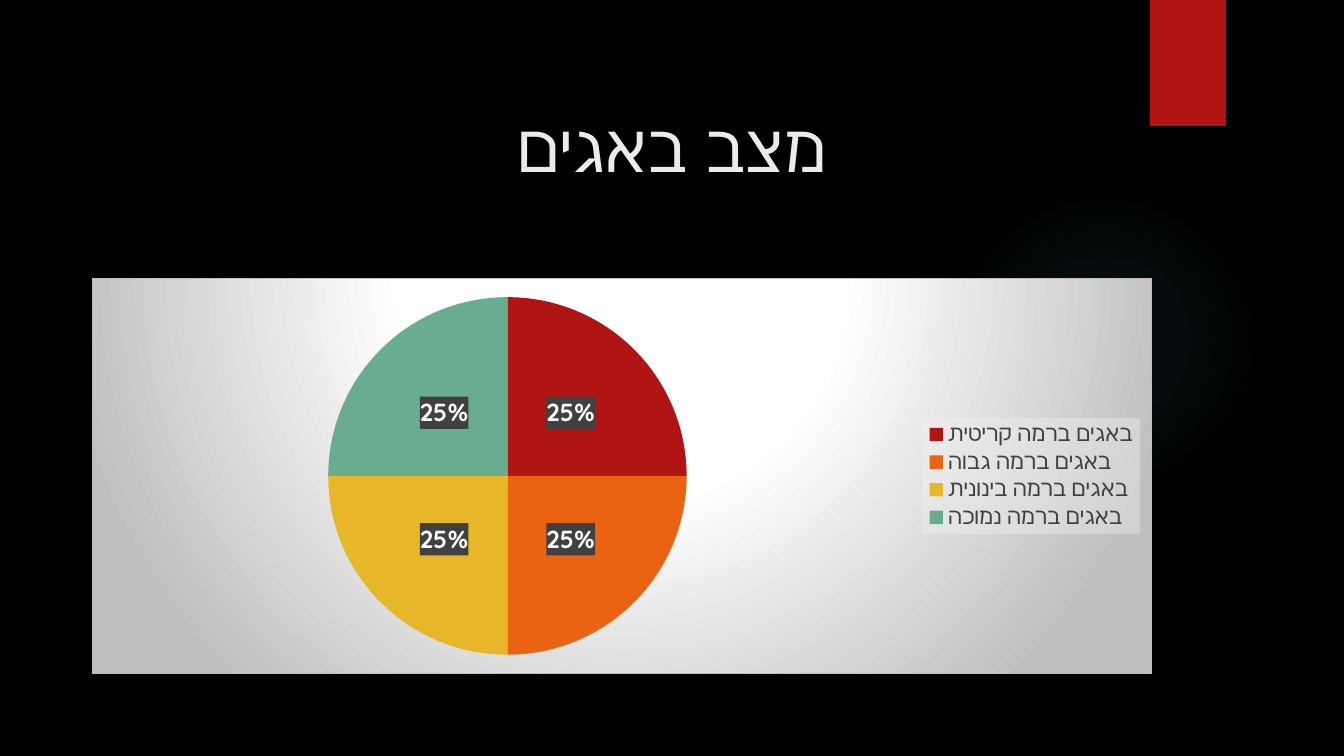
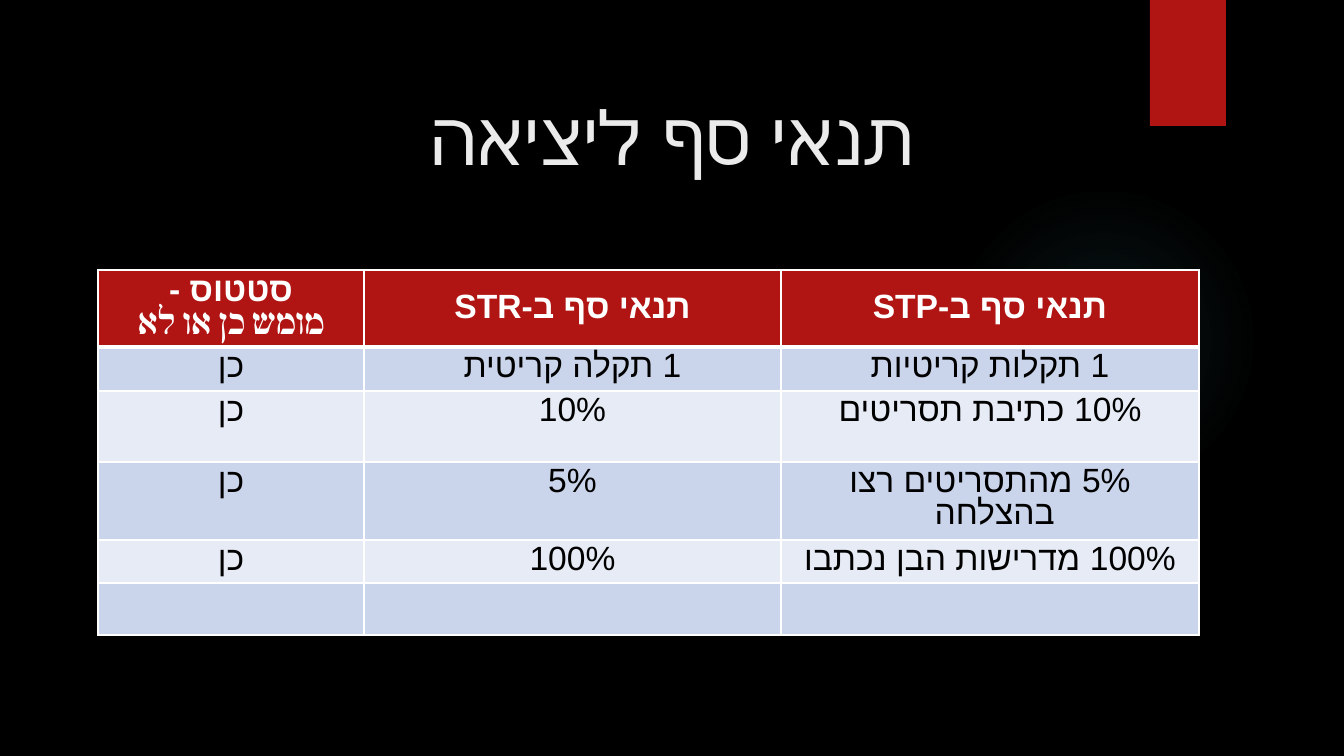
import pptx
import pptx.chart.data
import pptx.dml.color
import pptx.enum.chart
import pptx.enum.shapes
import pptx.enum.text
import pptx.oxml
import pptx.oxml.ns
import pptx.util
from dataclasses import dataclass

# Content
BUGS_TITLE = "מצב באגים"
BUGS_BY_SEVERITY = {
    "באגים ברמה קריטית": 25,
    "באגים ברמה גבוה": 25,
    "באגים ברמה בינונית": 25,
    "באגים ברמה נמוכה": 25,
}
EXIT_TITLE = "תנאי סף ליציאה"
EXIT_HEADER = ["סטטוס -\nמומש כן או לא", "תנאי סף ב-STR", "תנאי סף ב-STP"]
EXIT_ROWS = [
    ["כן", "1 תקלה קריטית", "1 תקלות קריטיות"],
    ["כן", "10%", "10% כתיבת תסריטים"],
    ["כן", "5%", "5% מהתסריטים רצו בהצלחה "],
    ["כן", "100%", "100% מדרישות הבן נכתבו"],
    ["", "", ""],
]


@dataclass(frozen=True)
class Theme:
    background: str = "000000"
    title: str = "EBEBEB"
    accent: str = "B01513"
    glow: str = "50B9C1"
    white: str = "FFFFFF"
    black: str = "000000"
    panel_edge: str = "BFBFBF"
    legend_text: str = "404040"
    legend_fill: str = "F2F2F2"
    slices: tuple = ("B01513", "EA6312", "E6B729", "6AAC90")
    bands: tuple = ("CAD4EA", "E6EBF5")
    display_font: str = "Quicksand"
    table_font: str = "Arial"
    header_font: str = "Cambria"
    chart_size: float = 10
    legend_size: float = 12
    label_size: float = 13.3
    table_size: float = 18


THEME = Theme()

# Layout in px
EMU_PER_PX = 914400 / 134.4
SLIDE_SIZE = (1344, 756)
GLOW_BOX = (949, 185, 310, 310)
TAG_BOX = (1150, 0, 76, 126)
BUGS_TITLE_BOX = (8, 99, 1328, 87)
EXIT_TITLE_BOX = (67, 102, 1210, 78)
CHART_BOX = (92, 278, 1060, 396)
TABLE_ORIGIN = (98, 270)
COLUMN_WIDTHS = (266, 417, 418)
ROW_HEIGHTS = (77, 44, 71, 78, 43, 52)
NAMESPACES = pptx.oxml.ns.nsdecls("a", "c")


def px(length):
    return pptx.util.Emu(round(length * EMU_PER_PX))


def px_box(box):
    return [px(length) for length in box]


def rgb(color):
    return pptx.dml.color.RGBColor.from_string(color)


# XML for what the public methods do not reach
def element(xml):
    tag, rest = xml[:xml.index(" ")], xml[xml.index(" "):]
    return pptx.oxml.parse_xml(f"{tag} {NAMESPACES}{rest}")


def color_xml(color, alpha=100):
    return f'<a:srgbClr val="{color}"><a:alpha val="{alpha * 1000}"/></a:srgbClr>'


def solid_xml(color, alpha=100):
    return f"<a:solidFill >{color_xml(color, alpha)}</a:solidFill>"


def circle_gradient_xml(stops, top, bottom):
    stops_xml = "".join(
        f'<a:gs pos="{position * 1000}">{color_xml(color, alpha)}</a:gs>'
        for position, color, alpha in stops)
    return (f'<a:gradFill rotWithShape="1"><a:gsLst>{stops_xml}</a:gsLst>'
            f'<a:path path="circle"><a:fillToRect l="50000" t="{top * 1000}" '
            f'r="50000" b="{bottom * 1000}"/></a:path></a:gradFill>')


def fill_chart_part(chart, text_properties, fill, line=""):
    anchor = chart.element.xpath(text_properties)[0]
    anchor.addprevious(element(f"<c:spPr >{fill}{line}</c:spPr>"))


def set_border(cell, sides):
    properties = cell._tc.get_or_add_tcPr()
    for index, side in enumerate("LRTB"):
        width = pptx.util.Pt(sides.get(side, 1))
        properties.insert(index, element(
            f'<a:ln{side} w="{width}">{solid_xml(THEME.white)}</a:ln{side}>'))


def write_text(frame, text, fonts, size, color, bold=False, spacing=None):
    """Write centred right-to-left paragraphs; fonts cycle over the lines."""
    frame.word_wrap = True
    frame.text = text
    for index, paragraph in enumerate(frame.paragraphs):
        paragraph.alignment = pptx.enum.text.PP_ALIGN.CENTER
        paragraph.line_spacing = spacing
        paragraph._p.get_or_add_pPr().set("rtl", "1")
        for run in paragraph.runs:
            font_name = fonts[index % len(fonts)]
            run.font.name = font_name
            run.font.size = pptx.util.Pt(size)
            run.font.bold = bold
            run.font.color.rgb = rgb(color)
            run.font._element.append(element(f'<a:cs typeface="{font_name}"/>'))


# Shared slide parts
def add_plain_shape(slide, kind, box, color):
    shape = slide.shapes.add_shape(kind, *px_box(box))
    shape.shadow.inherit = False
    shape.fill.solid()
    shape.fill.fore_color.rgb = rgb(color)
    shape.line.fill.background()
    return shape


def add_slide(presentation, title, box, size):
    slide = presentation.slides.add_slide(presentation.slide_layouts[5])
    kinds = pptx.enum.shapes.MSO_SHAPE

    glow = add_plain_shape(slide, kinds.OVAL, GLOW_BOX, THEME.glow)
    solid = glow._element.spPr.find(pptx.oxml.ns.qn("a:solidFill"))
    stops = [(0, THEME.glow, 7), (36, THEME.glow, 6), (69, THEME.glow, 0)]
    solid.getparent().replace(solid, element(circle_gradient_xml(stops, 50, 50)))

    tag = add_plain_shape(slide, kinds.RECTANGLE, TAG_BOX, THEME.accent)
    effects = tag._element.spPr.find(pptx.oxml.ns.qn("a:effectLst"))
    effects.append(element(
        f'<a:outerShdw blurRad="{pptx.util.Pt(3)}" dist="{pptx.util.Pt(2)}" '
        f'dir="5400000">{color_xml(THEME.black, 45)}</a:outerShdw>'))

    heading = slide.shapes.title
    heading.left, heading.top, heading.width, heading.height = px_box(box)
    frame = heading.text_frame
    frame.auto_size = pptx.enum.text.MSO_AUTO_SIZE.NONE
    frame.vertical_anchor = pptx.enum.text.MSO_ANCHOR.BOTTOM
    frame.margin_left = frame.margin_right = frame.margin_bottom = 0
    frame.margin_top = px(7)
    write_text(frame, title, [THEME.display_font], size, THEME.title)
    return slide


def set_chart_font(font, size, color, bold=False):
    font.name = THEME.display_font
    font.size = pptx.util.Pt(size)
    font.color.rgb = rgb(color)
    font.bold = bold


def add_bug_chart(slide):
    chart_data = pptx.chart.data.CategoryChartData()
    chart_data.categories = list(BUGS_BY_SEVERITY)
    chart_data.add_series("Series 1", list(BUGS_BY_SEVERITY.values()))
    chart = slide.shapes.add_chart(
        pptx.enum.chart.XL_CHART_TYPE.PIE, *px_box(CHART_BOX), chart_data).chart
    chart.has_title = False
    set_chart_font(chart.font, THEME.chart_size, THEME.white)

    # Legend
    chart.has_legend = True
    chart.legend.position = pptx.enum.chart.XL_LEGEND_POSITION.RIGHT
    chart.legend.include_in_layout = False
    set_chart_font(chart.legend.font, THEME.legend_size, THEME.legend_text)

    # Slices and their labels
    plot = chart.plots[0]
    plot.vary_by_categories = True
    series = plot.series[0]
    for index, color in enumerate(THEME.slices):
        fill = series.points[index].format.fill
        fill.solid()
        fill.fore_color.rgb = rgb(color)
    labels = series.data_labels
    labels.show_value = False
    labels.show_percentage = True
    labels.number_format = "0%"
    labels.number_format_is_linked = False
    labels.position = pptx.enum.chart.XL_LABEL_POSITION.CENTER
    set_chart_font(labels.font, THEME.label_size, THEME.white, bold=True)

    # Backgrounds
    stops = [(0, THEME.white, 100), (39, THEME.white, 100), (100, THEME.panel_edge, 100)]
    edge = f'<a:ln w="{pptx.util.Pt(0.75)}">{solid_xml(THEME.panel_edge)}</a:ln>'
    fill_chart_part(chart, "./c:txPr", circle_gradient_xml(stops, -80, 180), edge)
    fill_chart_part(chart, ".//c:legend/c:txPr", solid_xml(THEME.legend_fill, 39))
    fill_chart_part(chart, ".//c:ser/c:dLbls/c:txPr", solid_xml(THEME.legend_text, 90))


def add_exit_table(slide):
    rows = [EXIT_HEADER] + EXIT_ROWS
    size = (sum(COLUMN_WIDTHS), sum(ROW_HEIGHTS))
    table = slide.shapes.add_table(
        len(rows), len(EXIT_HEADER), *px_box(TABLE_ORIGIN + size)).table
    for column, width in zip(table.columns, COLUMN_WIDTHS):
        column.width = px(width)
    for row, height in zip(table.rows, ROW_HEIGHTS):
        row.height = px(height)

    for row_index, texts in enumerate(rows):
        is_header = row_index == 0
        for column_index, text in enumerate(texts):
            cell = table.cell(row_index, column_index)
            cell.margin_left = cell.margin_right = px(13)
            cell.margin_top = cell.margin_bottom = px(5)
            cell.fill.solid()
            cell.fill.fore_color.rgb = rgb(
                THEME.accent if is_header else THEME.bands[(row_index - 1) % 2])
            if is_header:
                cell.vertical_anchor = pptx.enum.text.MSO_ANCHOR.MIDDLE
            set_border(cell, {0: {"B": 3}, 1: {"T": 3}}.get(row_index, {}))
            write_text(cell.text_frame, text, [THEME.table_font, THEME.header_font],
                       THEME.table_size, THEME.white if is_header else THEME.black,
                       bold=is_header, spacing=0.85)


def main():
    presentation = pptx.Presentation()
    presentation.slide_width, presentation.slide_height = px_box(SLIDE_SIZE)
    background = presentation.slide_master.background.fill
    background.solid()
    background.fore_color.rgb = rgb(THEME.background)

    add_bug_chart(add_slide(presentation, BUGS_TITLE, BUGS_TITLE_BOX, size=36))
    add_exit_table(add_slide(presentation, EXIT_TITLE, EXIT_TITLE_BOX, size=40))
    presentation.save("out.pptx")


if __name__ == "__main__":
    main()
